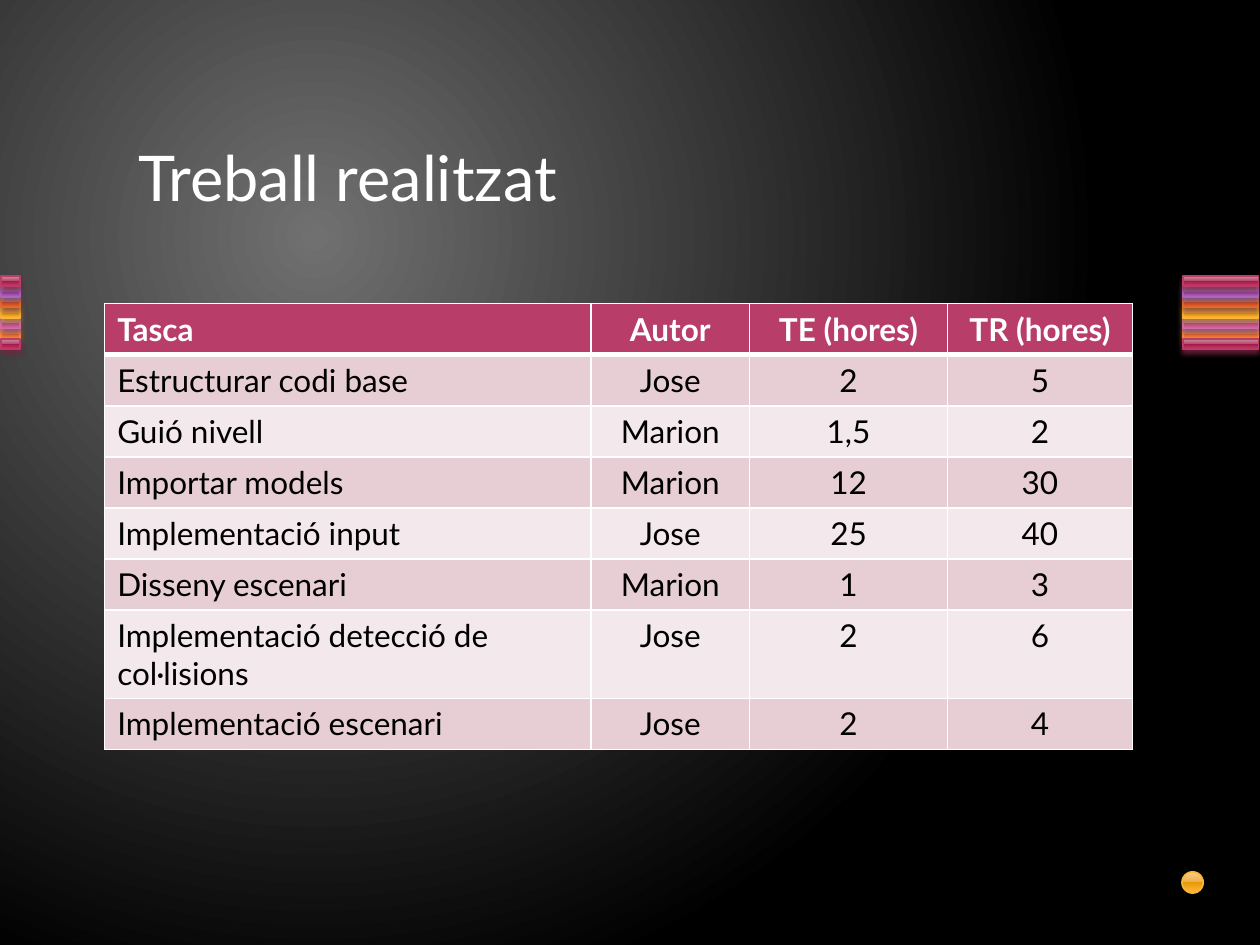
from lxml.etree import SubElement, fromstring
from pptx import Presentation
from pptx.dml.color import RGBColor
from pptx.enum.shapes import MSO_SHAPE
from pptx.enum.text import MSO_ANCHOR, PP_ALIGN
from pptx.oxml.ns import qn
from pptx.util import Pt

TITLE = "Treball realitzat"
HEAD = ("Tasca", "Autor", "TE (hores)", "TR (hores)")
TASKS = [
    ("Estructurar codi base", "Jose", "2", "5"),
    ("Guió nivell", "Marion", "1,5", "2"),
    ("Importar models", "Marion", "12", "30"),
    ("Implementació input", "Jose", "25", "40"),
    ("Disseny escenari", "Marion", "1", "3"),
    ("Implementació detecció de col·lisions", "Jose", "2", "6"),
    ("Implementació escenari", "Jose", "2", "4"),
]
THEME = {
    "font": "Lato", "title": 36, "cell": 18,
    "light": "FFFFFF", "dark": "000000", "glow": "707070",
    "head": "B83D68", "bands": ("E6CED4", "F3E8EB"),
    "gloss": {
        "orange": ("FBB494 F08745 E5670B FF8736 FF9961", "FA8D3D", "9A5726"),
        "pink": ("DDA4C1 C66B9D B34181 D361A0 DC79AE", "CF6DA4", "804365"),
        "gold": ("FBCC93 EFAE43 E59807 FFB432 FFBE5F", "F9B639", "9A7023"),
        "rust": ("E7A493 D66B42 CC4809 E9642C F07B55", "DE6C36", "894321"),
        "plum": ("C6A2D0 A666B4 8F3EA1 AD5DBF BA76CA", "AC66BB", "6A3F73"),
        "rose": ("CE94A2 B34869 A61749 C13764 CA5D7C", "B83D68", "722640"),
    },
}
STOPS = (0, 49, 49, 92, 100)
STRIPES = [("orange", 5), ("pink", 4), ("gold", 3), ("rust", 2),
           ("plum", 1), ("rose", 0), ("rose", 6)]
SIDES = [(0.7, 10.8), (676.1, 43.2)]
TOP, STEP = 157.7, 6
COLS = (277.9, 90.7, 113, 105.8)
ROW, TALL = 29.2, 50.2
LINEAR = '<a:lin ang="5400000" scaled="0"/>'
RADIAL = ('<a:path path="circle"><a:fillToRect l="50000" t="50000" '
          'r="100000" b="100000"/></a:path>')


def blend(fill, root, stops, shade):
    fill.solid()
    old = root.find(qn("a:solidFill"))
    marks = "".join(f'<a:gs pos="{pos * 1000}"><a:srgbClr val="{tone}"/></a:gs>'
                    for pos, tone in stops)
    space = "http://schemas.openxmlformats.org/drawingml/2006/main"
    root.replace(old, fromstring(
        f'<a:gradFill xmlns:a="{space}" rotWithShape="1">'
        f'<a:gsLst>{marks}</a:gsLst>{shade}</a:gradFill>'))


def gloss(slide, form, box, name, cast=True):
    tones, edge, shade = THEME["gloss"][name]
    shape = slide.shapes.add_shape(form, *map(Pt, box))
    root = shape._element.spPr
    blend(shape.fill, root, zip(STOPS, tones.split()), LINEAR)
    shape.line.color.rgb = RGBColor.from_string(edge)
    shape.line.width = Pt(0.9)
    shape.shadow.inherit = False
    if cast:
        drop = SubElement(root.find(qn("a:effectLst")), qn("a:outerShdw"),
                          blurRad=str(Pt(3.1)), dist=str(Pt(2)),
                          dir="5400000", algn="ctr", rotWithShape="0")
        tint = SubElement(drop, qn("a:srgbClr"), val=shade)
        SubElement(tint, qn("a:alpha"), val="83000")


def write(frame, text, size, tone, bold=False, align=PP_ALIGN.LEFT):
    para = frame.paragraphs[0]
    para.alignment = align
    run = para.add_run()
    run.text = text
    run.font.name = THEME["font"]
    run.font.size = Pt(size)
    run.font.bold = bold
    run.font.color.rgb = RGBColor.from_string(tone)


def rule(cell, side, width):
    line = SubElement(cell._tc.get_or_add_tcPr(), qn("a:ln" + side), w=str(Pt(width)))
    fill = SubElement(line, qn("a:solidFill"))
    SubElement(fill, qn("a:srgbClr"), val=THEME["light"])


def fill_table(slide):
    rows = [HEAD] + TASKS
    highs = [TALL if len(row[0]) > 30 else ROW for row in rows]
    table = slide.shapes.add_table(
        len(rows), len(COLS), Pt(59.8), Pt(173.5),
        Pt(sum(COLS)), Pt(sum(highs))).table
    for col, wide in zip(table.columns, COLS):
        col.width = Pt(wide)
    for r, row in enumerate(rows):
        table.rows[r].height = Pt(highs[r])
        top = r == 0
        back = THEME["head"] if top else THEME["bands"][(r - 1) % 2]
        for c, text in enumerate(row):
            cell = table.cell(r, c)
            for side in "LRTB":
                thick = (top and side == "B") or (r == 1 and side == "T")
                rule(cell, side, 3 if thick else 1)
            cell.fill.solid()
            cell.fill.fore_color.rgb = RGBColor.from_string(back)
            write(cell.text_frame, text, THEME["cell"],
                  THEME["light" if top else "dark"], top,
                  PP_ALIGN.CENTER if c else PP_ALIGN.LEFT)


def main():
    deck = Presentation()
    deck.slide_width, deck.slide_height = Pt(720), Pt(540)
    slide = deck.slides.add_slide(deck.slide_layouts[6])
    fill = slide.background.fill
    fill.solid()
    blend(fill, slide._element.find(".//" + qn("p:bgPr")),
          [(0, THEME["glow"]), (100, THEME["dark"])], RADIAL)
    for left, wide in SIDES:
        for name, slot in STRIPES:
            gloss(slide, MSO_SHAPE.RECTANGLE,
                  (left, TOP + slot * STEP, wide, STEP), name)
    gloss(slide, MSO_SHAPE.OVAL, (675.4, 498.2, 12.2, 12.2), "gold", False)
    fill_table(slide)
    frame = slide.shapes.add_textbox(Pt(72), Pt(36), Pt(606), Pt(90)).text_frame
    frame.word_wrap = True
    frame.vertical_anchor = MSO_ANCHOR.BOTTOM
    write(frame, TITLE, THEME["title"], THEME["light"])
    deck.save("out.pptx")


if __name__ == "__main__":
    main()
